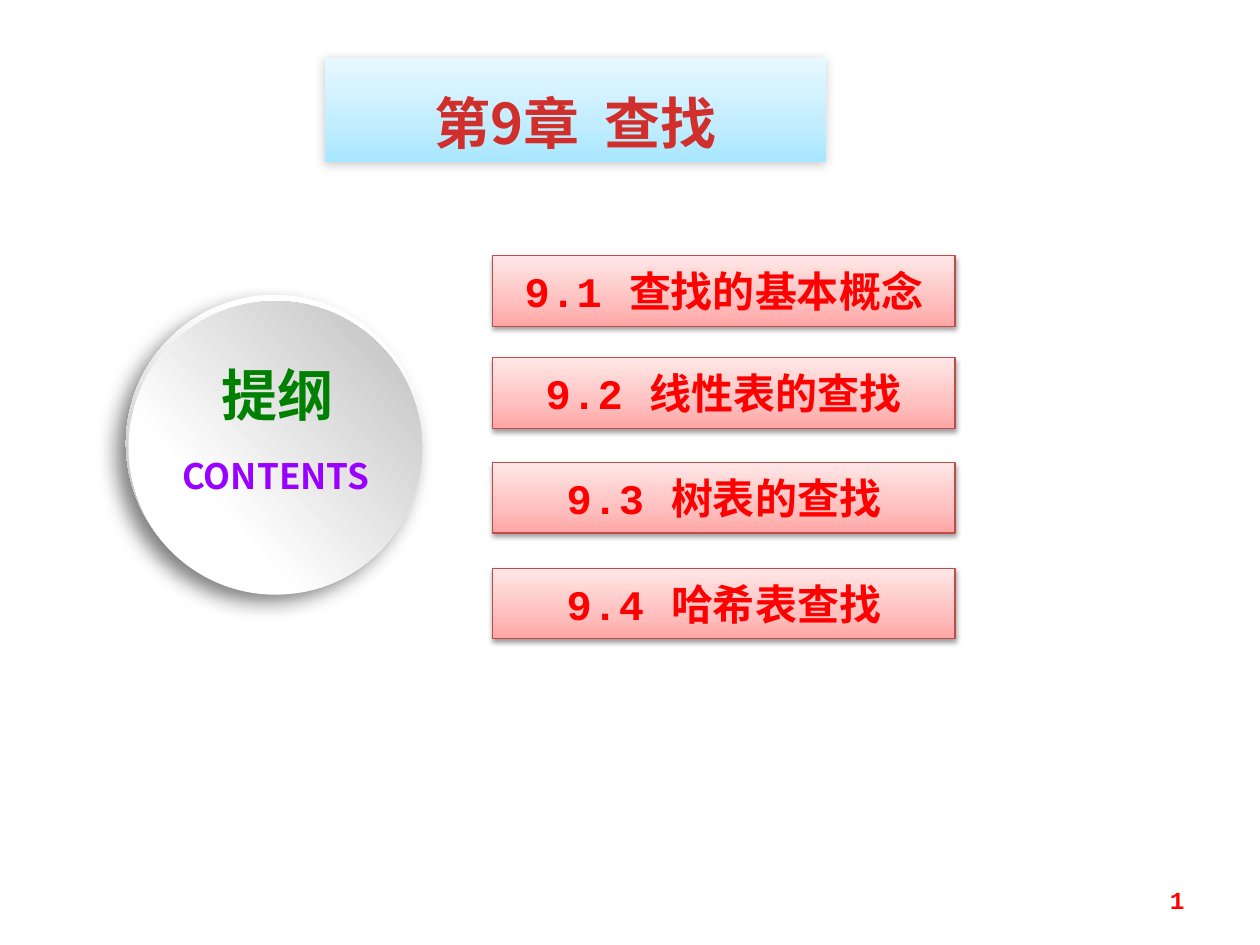
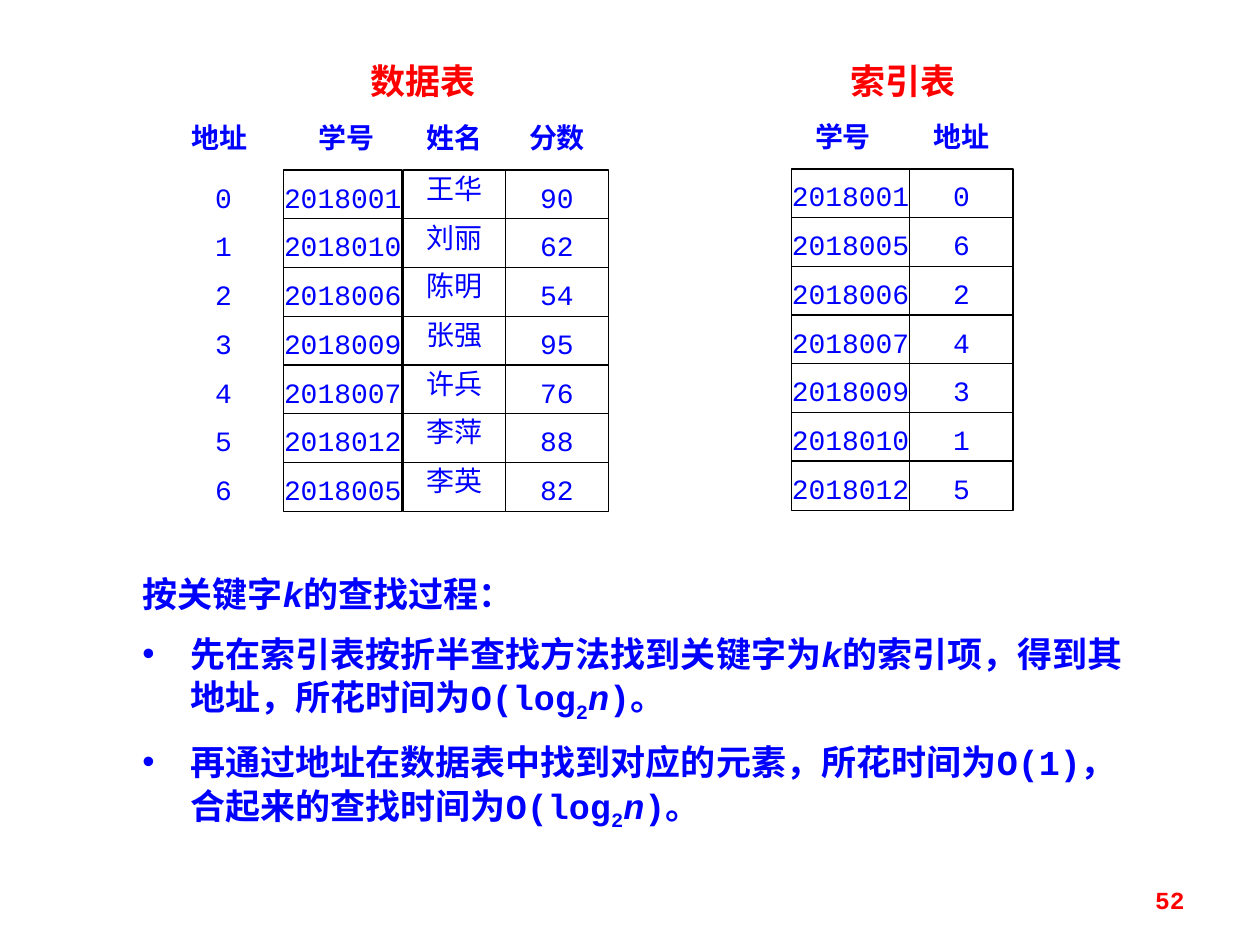
from lxml.etree import SubElement
from pptx import Presentation
from pptx.dml.color import RGBColor
from pptx.enum.shapes import MSO_SHAPE
from pptx.enum.text import MSO_ANCHOR, MSO_AUTO_SIZE, PP_ALIGN
from pptx.oxml.ns import qn
from pptx.util import Inches, Pt

RED = RGBColor(0xFF, 0x00, 0x00)
BRICK = RGBColor(0xD0, 0x2F, 0x2C)
EDGE = RGBColor(0xBF, 0x4C, 0x48)
BLUE = RGBColor(0x00, 0x00, 0xFF)
GREEN = RGBColor(0x00, 0x80, 0x00)
PURPLE = RGBColor(0x99, 0x00, 0xFF)
BLACK = RGBColor(0x00, 0x00, 0x00)
WHITE = RGBColor(0xFF, 0xFF, 0xFF)

SKY = [(0, "A7E6FF"), (35, "C1EDFF"), (100, "E7F8FF")]
ROSE = [(0, "FFA6A5"), (35, "FFC0BF"), (100, "FFE7E7")]
RIM = [(17, "FFFFFF"), (88, "B8B8B8")]
DISC = [(29, "FFFFFF"), (98, "BFBFBF")]

MONO = "Courier New"
SANS = "Noto Sans CJK SC"
TITLE = "Noto Sans CJK JP"

ROW = 0.39
PITCH = 2.32 / 6
TOPICS = [
    (2.03, "9.1", "查找的基本概念"),
    (2.84, "9.2", "线性表的查找"),
    (3.67, "9.3", "树表的查找"),
    (4.51, "9.4", "哈希表查找"),
]
PUPILS = [
    ("2018001", "王华", "90"),
    ("2018010", "刘丽", "62"),
    ("2018006", "陈明", "54"),
    ("2018009", "张强", "95"),
    ("2018007", "许兵", "76"),
    ("2018012", "李萍", "88"),
    ("2018005", "李英", "82"),
]
KEY = ("k", {"italic": True})
COST = [("2", {"base": -25}), ("n", {"italic": True}), (")。", {})]
STEPS = [
    [("按关键字", {}), KEY, ("的查找过程：", {})],
    [("先在索引表按折半查找方法找到关键字为", {}), KEY,
     ("的索引项，得到其地址，所花时间为O(log", {}), *COST],
    [("再通过地址在数据表中找到对应的元素，所花时间为O(1)，"
      "合起来的查找时间为O(log", {}), *COST],
]


def write(para, text, size=20, color=BLUE, face=MONO, bold=True,
          italic=False, base=0, space=0):
    """Add one formatted run to a paragraph."""
    run = para.add_run()
    run.text = text
    font = run.font
    font.size, font.bold, font.italic = Pt(size), bold, italic
    font.color.rgb = color
    font.name = face
    props = font._element
    SubElement(props, qn("a:ea"), typeface=SANS if face == MONO else face)
    if base:
        props.set("baseline", str(base * 1000))
    if space:
        props.set("spc", str(int(space * 100)))


def frame(shape, pads, align=PP_ALIGN.CENTER, anchor=MSO_ANCHOR.TOP):
    """Set up a shape's text frame and return its first paragraph."""
    body = shape.text_frame
    body.word_wrap = True
    body.auto_size = MSO_AUTO_SIZE.NONE
    body.vertical_anchor = anchor
    (body.margin_left, body.margin_top,
     body.margin_right, body.margin_bottom) = map(Inches, pads)
    para = body.paragraphs[0]
    para.alignment = align
    return para


def label(slide, box, text, pads=(0.1, 0.05, 0.1, 0.05),
          align=PP_ALIGN.CENTER, anchor=MSO_ANCHOR.TOP, **style):
    """Add a text box with one run."""
    shape = slide.shapes.add_textbox(*map(Inches, box))
    write(frame(shape, pads, align, anchor), text, **style)


def panel(slide, box, lined=False):
    """Add a white rectangle, with a thin black outline if lined."""
    shape = slide.shapes.add_shape(MSO_SHAPE.RECTANGLE, *map(Inches, box))
    shape.shadow.inherit = False
    shape.fill.solid()
    shape.fill.fore_color.rgb = WHITE
    if lined:
        shape.line.color.rgb = BLACK
        shape.line.width = Pt(0.75)
    else:
        shape.line.fill.background()
    return shape


def blend(shape, stops, angle):
    """Fill a shape with a clockwise linear gradient."""
    shape.fill.gradient()
    shape.fill.gradient_angle = (360 - angle) % 360
    ramp = shape._element.spPr.find(".//" + qn("a:gsLst"))
    for stop in list(ramp):
        ramp.remove(stop)
    for place, color in stops:
        stop = SubElement(ramp, qn("a:gs"), pos=str(place * 1000))
        SubElement(stop, qn("a:srgbClr"), val=color)


def shade(shape, alpha, blur, dist, angle):
    """Give a shape a soft black outer shadow."""
    shape.shadow.inherit = False
    effects = shape._element.spPr.find(qn("a:effectLst"))
    outer = SubElement(effects, qn("a:outerShdw"), blurRad=str(Pt(blur)),
                       dist=str(Pt(dist)), dir=str(angle * 60000),
                       algn="ctr", rotWithShape="0")
    black = SubElement(outer, qn("a:srgbClr"), val="000000")
    SubElement(black, qn("a:alpha"), val=str(alpha * 1000))


def banner(slide, box, text):
    """Place and style the slide title."""
    title = slide.shapes.title
    title.left, title.top, title.width, title.height = map(Inches, box)
    blend(title, SKY, 270)
    shade(title, 20, 6, 1, 135)
    para = frame(title, (0.1, 0.24, 0.1, 0.05))
    write(para, text, size=32, color=BRICK, face=TITLE)


def topic(slide, top, mark, text):
    """Add one bar of the outline."""
    bar = slide.shapes.add_shape(MSO_SHAPE.RECTANGLE, Inches(3.91),
                                 Inches(top), Inches(3.67), Inches(0.56))
    blend(bar, ROSE, 270)
    bar.line.color.rgb = EDGE
    bar.line.width = Pt(0.75)
    shade(bar, 38, 3.1, 1.6, 90)
    para = frame(bar, (0.1, 0.08, 0.1, 0.08))
    write(para, mark + " ", size=24, color=RED, space=0.5)
    write(para, text, size=24, color=RED)


def disc(slide, left, top, size, stops, angle):
    """Add a borderless circle with a gradient."""
    shape = slide.shapes.add_shape(MSO_SHAPE.OVAL, Inches(left), Inches(top),
                                   Inches(size), Inches(size))
    blend(shape, stops, angle)
    shape.line.fill.background()
    shape.shadow.inherit = False
    return shape


def cell(slide, box, text, lined=False, bold=False):
    """Add one cell, with digits and characters on the same baseline."""
    pad = 0.08 if text.isascii() else 0 if bold else 0.01
    para = frame(panel(slide, box, lined), (0, pad, 0, 0))
    write(para, text, size=16, bold=bold)


def column(slide, top, left, width, items, lined=True):
    """Stack the cells of one column."""
    for i, text in enumerate(items):
        cell(slide, (left, top + PITCH * i, width, ROW), text, lined)


def heads(slide, top, names):
    """Add the bold column heads above the cells."""
    for left, text in names:
        cell(slide, (left, top, 0.82, ROW), text, bold=True)


def bullet(para):
    """Give a paragraph a hanging round bullet."""
    props = para._p.get_or_add_pPr()
    props.set("marL", str(Inches(0.38)))
    props.set("indent", str(-Inches(0.38)))
    SubElement(props, qn("a:buFont"), typeface="Arial")
    SubElement(props, qn("a:buChar"), char="•")


def prose(slide, box, steps):
    """Add a lead line followed by bulleted steps."""
    shape = panel(slide, box)
    para = frame(shape, (0.2, 0.12, 0.1, 0.12), PP_ALIGN.LEFT)
    for i, runs in enumerate(steps):
        if i:
            para = shape.text_frame.add_paragraph()
            para.alignment = PP_ALIGN.LEFT
            bullet(para)
            para.space_before = Pt(6)
        para.line_spacing = Pt(28)
        for text, style in runs:
            write(para, text, **style)


def number(slide, text):
    """Add the page number."""
    label(slide, (7.17, 6.94, 2.33, 0.4), text, align=PP_ALIGN.RIGHT,
          anchor=MSO_ANCHOR.MIDDLE, size=14, color=RED)


def outline(deck):
    """Build the chapter outline slide."""
    slide = deck.slides.add_slide(deck.slide_layouts[5])
    banner(slide, (2.58, 0.46, 3.98, 0.83), "第9章  查找")
    for top, mark, text in TOPICS:
        topic(slide, top, mark, text)
    shade(disc(slide, 1, 2.34, 2.36, RIM, 107), 50, 12, 8, 135)
    disc(slide, 1.02, 2.39, 2.33, DISC, 318)
    label(slide, (1.27, 3.56, 1.84, 0.44), "CONTENTS",
          color=PURPLE, face=SANS)
    label(slide, (1.43, 2.81, 1.54, 0.64), "提纲",
          size=32, color=GREEN, face=SANS)
    number(slide, "1")


def lookup(deck):
    """Build the index table slide."""
    slide = deck.slides.add_slide(deck.slide_layouts[6])
    for left, text in ((2.89, "数据表"), (6.7, "索引表")):
        para = frame(panel(slide, (left, 0.47, 0.94, 0.32)), (0, 0, 0, 0))
        write(para, text, color=RED)
    codes, names, marks = zip(*PUPILS)
    heads(slide, 0.96, [(2.34, "学号"), (3.2, "姓名"),
                        (4.01, "分数"), (1.33, "地址")])
    column(slide, 1.35, 2.25, 0.94, codes)
    column(slide, 1.35, 3.2, 0.82, names)
    column(slide, 1.35, 4.01, 0.82, marks)
    column(slide, 1.35, 1.49, 0.57, map(str, range(len(codes))), lined=False)
    heads(slide, 0.95, [(6.28, "学号"), (7.22, "地址")])
    order = sorted(codes)
    column(slide, 1.34, 6.28, 0.94, order)
    column(slide, 1.34, 7.22, 0.82, [str(codes.index(c)) for c in order])
    prose(slide, (0.93, 4.37, 8.2, 2.37), STEPS)
    number(slide, "52")


def main():
    """Build and save the deck."""
    deck = Presentation()
    deck.slide_width, deck.slide_height = Inches(10), Inches(7.5)
    outline(deck)
    lookup(deck)
    deck.save("out.pptx")


if __name__ == "__main__":
    main()
